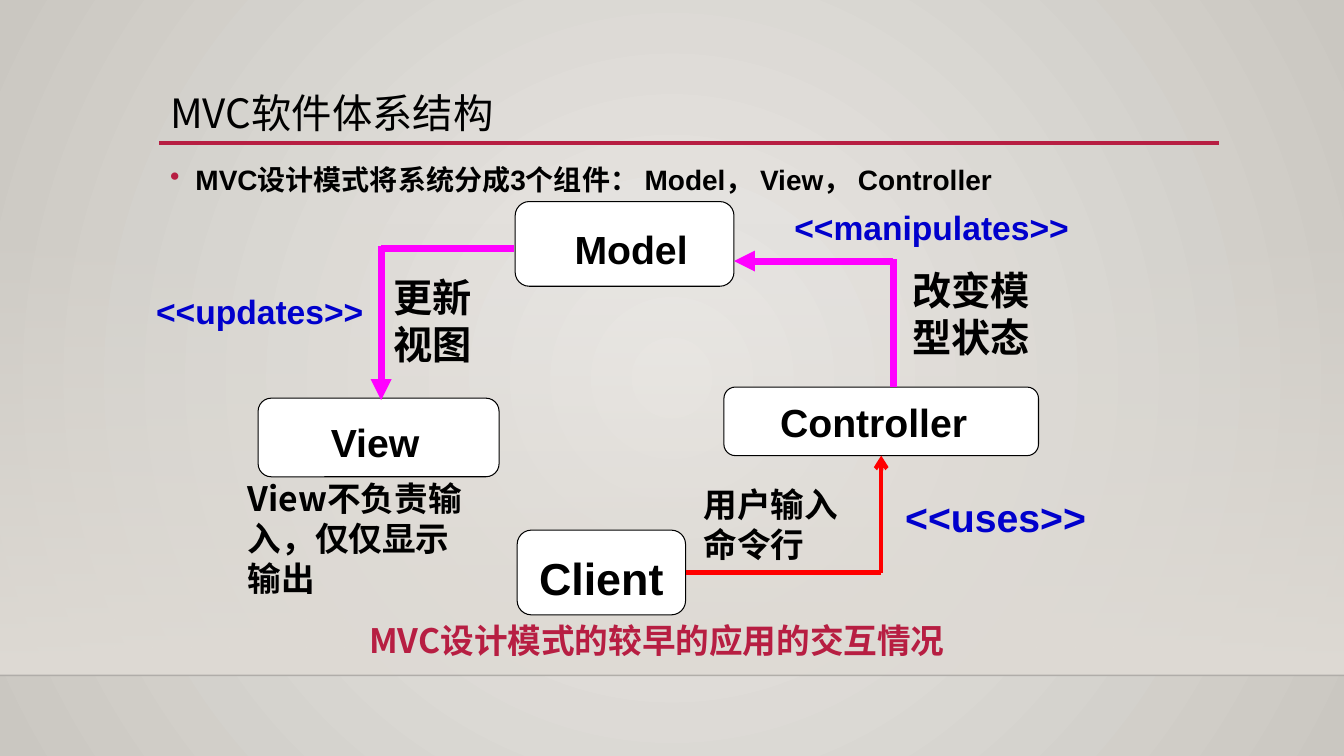
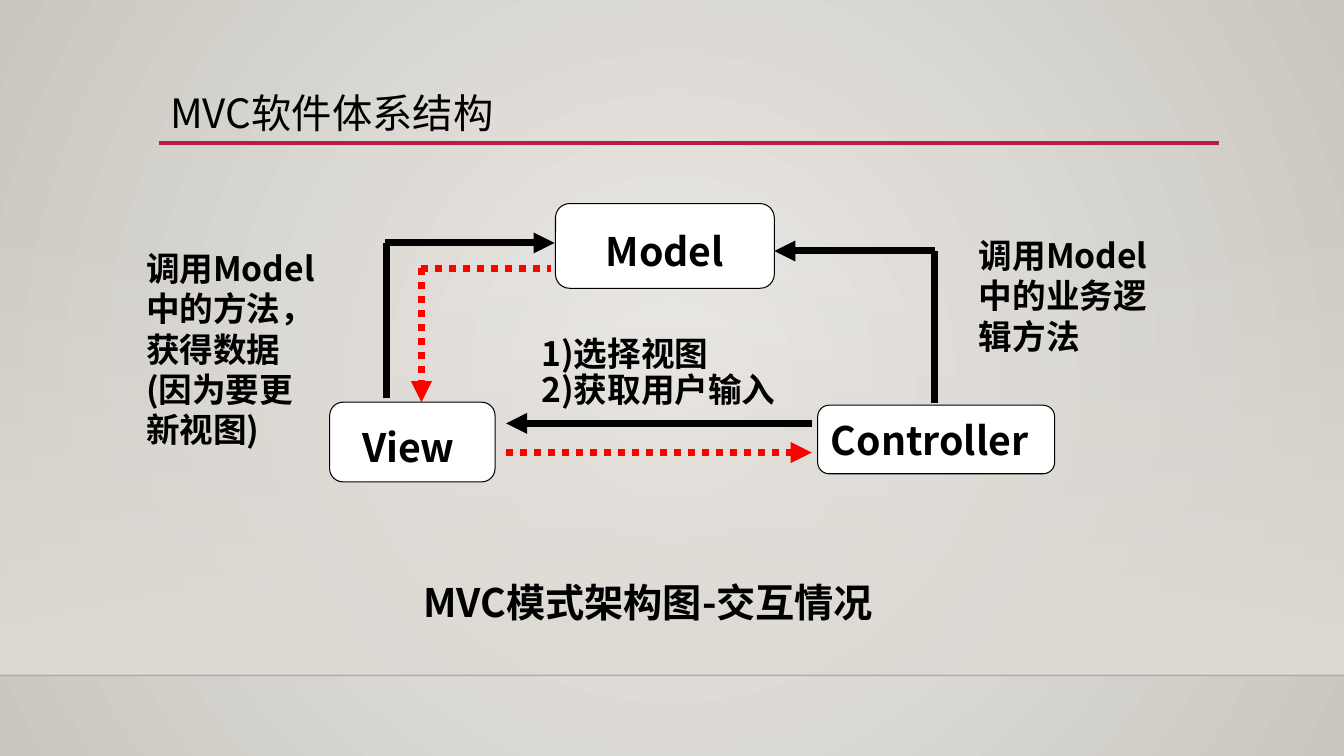
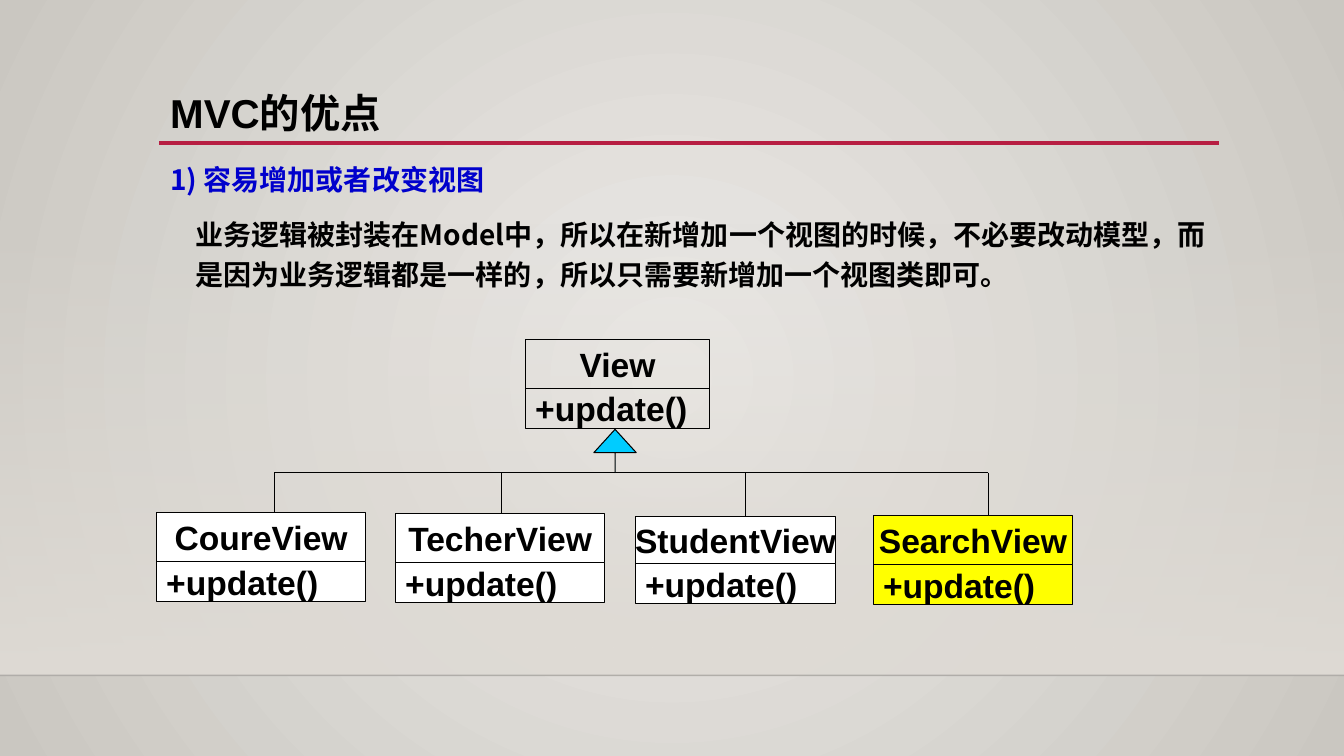
from dataclasses import dataclass
from lxml.etree import SubElement
from pptx import Presentation
from pptx.dml.color import RGBColor
from pptx.enum.dml import MSO_LINE
from pptx.enum.shapes import MSO_CONNECTOR as Connector, MSO_SHAPE as Shape
from pptx.enum.text import MSO_ANCHOR as Anchor, PP_ALIGN as Align
from pptx.oxml.ns import qn
from pptx.util import Emu, Pt

PX = 9144


@dataclass(frozen=True)
class Theme:
    """Colours, faces and type sizes of the deck."""
    glow: str = "ECEAE7"
    edge: str = "CAC7C1"
    wall: str = "DFDBD5"
    horizon: str = "000001"
    accent: str = "B71E42"
    ink: str = "000000"
    paper: str = "FFFFFF"
    blue: str = "0000CC"
    magenta: str = "FF00FF"
    red: str = "FF0000"
    yellow: str = "FFFF00"
    cyan: str = "00CCFF"
    latin: str = "Arial"
    cjk: str = "Noto Sans CJK SC"
    title: float = 28.8
    body: int = 20
    note: int = 24
    label: int = 28
    client: int = 32
    line_height: float = 1.2
    hairline: float = 0.75
    flow: int = 5


THEME = Theme()


@dataclass(frozen=True)
class Box:
    """A rectangle in px."""
    left: int
    top: int
    width: int
    height: int

    def inner(self, left, top, width, height):
        """Return a box placed relative to this one."""
        return Box(self.left + left, self.top + top, width, height)

    def emu(self):
        """Return the four lengths in EMU."""
        return [Emu(n * PX) for n in (self.left, self.top, self.width, self.height)]


SLIDE = Box(0, 0, 1333, 750)
TITLE = Box(159, 88, 1050, 52)
BODY = Box(159, 150, 1050, 517)


def color(code):
    """Turn a hex code into a colour."""
    return RGBColor.from_string(code)


def set_alpha(node, percent):
    """Give a colour element an opacity."""
    SubElement(node, qn("a:alpha"), val=str(percent * 1000))


def write(para, text, *, size=THEME.note, face=THEME.cjk, ink=THEME.ink, bold=True,
          align=Align.LEFT, leading=1.0, after=0, margin=0, hang=0, bullet=None):
    """Put formatted text into a paragraph."""
    para.alignment = align
    para.line_spacing = Pt(round(size * THEME.line_height * leading, 1))
    para.space_after = Pt(after)
    props = para._p.get_or_add_pPr()
    props.set("marL", str(margin * PX))
    props.set("indent", str(-hang * PX))
    if bullet:
        tint = SubElement(props, qn("a:buClr"))
        SubElement(tint, qn("a:srgbClr"), val=THEME.accent)
        SubElement(props, qn("a:buChar"), char=bullet)
    span = para.add_run()
    span.text = text
    span.font.size = Pt(size)
    span.font.bold = bold
    span.font.name = face
    span.font.color.rgb = color(ink)
    SubElement(span._r.get_or_add_rPr(), qn("a:ea"), typeface=THEME.cjk)


def fill_text(shape, *lines, anchor=Anchor.MIDDLE, inset=(10, 5, 10, 5), wrap=True, **style):
    """Lay out the lines of a shape, one paragraph each."""
    frame = shape.text_frame
    frame.word_wrap = wrap
    frame.vertical_anchor = anchor
    (frame.margin_left, frame.margin_top,
     frame.margin_right, frame.margin_bottom) = [Emu(n * PX) for n in inset]
    for index, line in enumerate(lines):
        para = frame.add_paragraph() if index else frame.paragraphs[0]
        write(para, line, **style)
    return frame


def add_text(page, box, *lines, **style):
    """Add a text box."""
    return fill_text(page.shapes.add_textbox(*box.emu()), *lines, **style)


def add_note(page, box, *lines, **style):
    """Add a text box that starts at its top."""
    return add_text(page, box, *lines, anchor=Anchor.TOP, **style)


def add_form(page, kind, box, fill=None):
    """Add an outlined preset shape."""
    shape = page.shapes.add_shape(kind, *box.emu())
    shape.shadow.inherit = False
    if fill:
        shape.fill.solid()
        shape.fill.fore_color.rgb = color(fill)
    else:
        shape.fill.background()
    shape.line.color.rgb = color(THEME.ink)
    shape.line.width = Pt(THEME.hairline)
    return shape


def add_line(page, box, start, end, ink=THEME.ink, width=THEME.hairline, tail=None, dotted=False):
    """Draw a straight line between two points of a box."""
    ends = [Emu(n * PX) for x, y in (start, end) for n in (box.left + x, box.top + y)]
    line = page.shapes.add_connector(Connector.STRAIGHT, *ends)
    line.line.color.rgb = color(ink)
    line.line.width = Pt(width)
    if dotted:
        line.line.dash_style = MSO_LINE.ROUND_DOT
    props = line.element.spPr
    if tail:
        SubElement(props.find(qn("a:ln")), qn("a:tailEnd"), type=tail)
    SubElement(props, qn("a:effectLst"))
    return line


def set_gradient(fill, *codes):
    """Give a fill two gradient colours."""
    fill.gradient()
    for stop, code, position in zip(fill.gradient_stops, codes, (0, 1)):
        stop.color.rgb = color(code)
        stop.position = position


def add_backdrop(page, box):
    """Paint the glow, the wall and the horizon."""
    set_gradient(page.background.fill, THEME.glow, THEME.edge)
    glow = page.element.xpath(".//p:bg//a:gradFill")[0]
    glow.remove(glow.find(qn("a:lin")))
    circle = SubElement(glow, qn("a:path"))
    circle.set("path", "circle")
    SubElement(circle, qn("a:fillToRect"), l="50000", t="50000", r="50000", b="50000")
    wall = add_form(page, Shape.RECTANGLE, box.inner(0, 221, box.width, 449))
    wall.line.fill.background()
    set_gradient(wall.fill, THEME.wall, THEME.wall)
    wall.fill.gradient_angle = 270
    set_alpha(wall.element.xpath(".//a:gs/a:srgbClr")[0], 0)
    horizon = add_line(page, box, (0, 670), (box.width, 670), THEME.horizon, 1)
    set_alpha(horizon.element.xpath(".//a:ln//a:srgbClr")[0], 20)


def add_page(deck, title, face=THEME.cjk, bold=False):
    """Add a slide with its backdrop, title and rule."""
    page = deck.slides.add_slide(deck.slide_layouts[6])
    add_backdrop(page, SLIDE)
    add_line(page, SLIDE, (158, 142), (1209, 142), THEME.accent, 2.5)
    add_text(page, TITLE, title, size=THEME.title, face=face, bold=bold, leading=0.9)
    return page


def add_part(page, box, name, nudge=0, **style):
    """Add a rounded component whose name sits nudge px off centre."""
    shape = add_form(page, Shape.ROUNDED_RECTANGLE, box, THEME.paper)
    inset = (7 + max(nudge, 0), 3, 7 + max(-nudge, 0), 3)
    fill_text(shape, name, inset=inset, align=Align.CENTER, **{"size": THEME.label, **style})


def add_class(page, box, name, fill=None):
    """Add a class with its name above its method."""
    method = 40
    head = box.height - method
    parts = ((name, 0, head, Align.CENTER, False), ("+update()", head, method, Align.LEFT, True))
    for text, top, height, align, wrap in parts:
        cell = add_form(page, Shape.RECTANGLE, box.inner(0, top, box.width, height), fill)
        fill_text(cell, text, face=THEME.latin, align=align, wrap=wrap)


def draw_early_use(page, box):
    """Draw the early interaction of the components and a client."""
    for name, place, nudge, size, leading in (
        ("Model", (366, 0, 217, 84), 13, THEME.label, 1.2),
        ("View", (111, 195, 239, 78), -7, THEME.label, 1.2),
        ("Controller", (573, 184, 312, 68), -15, THEME.label, 1),
        ("Client", (368, 326, 167, 84), 0, THEME.client, 1.2),
    ):
        add_part(page, box.inner(*place), name, nudge, size=size, leading=leading, face=THEME.latin)
    for start, end, ink, width, tail in (
        ((365, 47), (233, 47), THEME.magenta, THEME.flow, None),
        ((233, 44), (233, 197), THEME.magenta, THEME.flow, "triangle"),
        ((741, 184), (741, 57), THEME.magenta, THEME.flow, None),
        ((741, 59), (583, 59), THEME.magenta, THEME.flow, "triangle"),
        ((729, 368), (729, 252), THEME.red, 3, "arrow"),
        ((535, 368), (729, 368), THEME.red, 3, None),
    ):
        add_line(page, box, start, end, ink, width, tail)
    for text, place, size in (
        ("<<uses>>", (743, 285, 202, 57), THEME.label),
        ("<<manipulates>>", (633, 0, 302, 51), THEME.note),
        ("<<updates>>", (0, 84, 233, 51), THEME.note),
    ):
        add_note(page, box.inner(*place), text, size=size, face=THEME.latin,
                 ink=THEME.blue, wrap=False)
    for lines, place, size in (
        (["用户输入命令行"], (543, 275, 180, 91), THEME.note),
        (["改变模型状态"], (750, 59, 157, 104), THEME.label),
        (["更新", "视图"], (235, 66, 100, 104), THEME.label),
        (["View不负责输入，仅仅显示输出"], (91, 269, 243, 131), THEME.note),
    ):
        add_note(page, box.inner(*place), *lines, size=size)
    add_note(page, box.inner(154, 410, 705, 51), "MVC设计模式的较早的应用的交互情况",
             ink=THEME.accent, align=Align.CENTER)


def draw_architecture(page, box):
    """Draw the interaction of the three components."""
    for name, place, nudge, leading in (
        ("Model", (416, 2, 217, 84), 0, 1.2),
        ("View", (192, 199, 164, 79), -8, 1.2),
        ("Controller", (676, 202, 235, 68), -13, 1),
    ):
        add_part(page, box.inner(*place), name, nudge, leading=leading)
    for start, end, tail in (
        ((248, 195), (248, 41), None),
        ((247, 41), (415, 41), "triangle"),
        ((792, 200), (792, 49), None),
        ((792, 49), (633, 49), "triangle"),
        ((670, 220), (367, 220), "triangle"),
    ):
        add_line(page, box, start, end, width=THEME.flow, tail=tail)
    for start, end, tail in (
        ((367, 249), (670, 249), "triangle"),
        ((283, 66), (412, 66), None),
        ((283, 66), (283, 199), "triangle"),
    ):
        add_line(page, box, start, end, THEME.red, THEME.flow, tail, dotted=True)
    add_note(page, box.inner(826, 28, 192, 172), "调用Model中的业务逻辑方法")
    add_note(page, box.inner(0, 41, 192, 253), "调用Model中的方法，获得数据(因为要更新视图)")
    add_note(page, box.inner(392, 129, 267, 83), "1)选择视图", "2)获取用户输入", leading=0.9)
    add_text(page, box.inner(133, 369, 750, 57), "MVC模式架构图-交互情况",
             size=THEME.label, align=Align.CENTER)


def draw_view_classes(page, box):
    """Draw the view class and the classes that extend it."""
    bus = 132
    children = (
        ("CoureView", (0, 171, 208, 89), 117, THEME.paper),
        ("TecherView", (237, 172, 208, 89), 342, THEME.paper),
        ("StudentView", (475, 175, 199, 87), 584, THEME.paper),
        ("SearchView", (711, 174, 198, 89), 825, THEME.yellow),
    )
    add_line(page, box, (children[0][2], bus), (children[-1][2], bus))
    arrow = add_form(page, Shape.UP_ARROW, box.inner(434, 89, 42, 43), THEME.cyan)
    arrow.adjustments[0] = 0
    arrow.adjustments[1] = 0.55
    add_class(page, box.inner(366, 0, 183, 88), "View")
    for name, place, stem, fill in children:
        add_line(page, box, (stem, bus), (stem, place[1]))
        add_class(page, box.inner(*place), name, fill)


def main():
    """Build and save the deck."""
    deck = Presentation()
    deck.slide_width, deck.slide_height = SLIDE.emu()[2:]

    page = add_page(deck, "MVC软件体系结构")
    add_text(page, BODY, "MVC设计模式将系统分成3个组件： Model， View， Controller",
             anchor=Anchor.TOP, size=THEME.body, face=THEME.latin, leading=1.2,
             margin=25, hang=25, bullet="•")
    draw_early_use(page, Box(145, 200, 945, 461))

    page = add_page(deck, "MVC软件体系结构")
    draw_architecture(page, Box(135, 200, 1018, 426))

    page = add_page(deck, "MVC的优点", face=THEME.latin, bold=True)
    frame = add_text(page, BODY, "1) 容易增加或者改变视图", anchor=Anchor.TOP,
                     size=THEME.body, ink=THEME.blue, leading=1.2, after=10, margin=25, hang=25)
    write(frame.add_paragraph(),
          "业务逻辑被封装在Model中，所以在新增加一个视图的时候，不必要改动模型，"
          "而是因为业务逻辑都是一样的，所以只需要新增加一个视图类即可。",
          size=THEME.body, leading=1.2, margin=25)
    draw_view_classes(page, Box(155, 337, 909, 263))

    deck.save("out.pptx")


if __name__ == "__main__":
    main()
